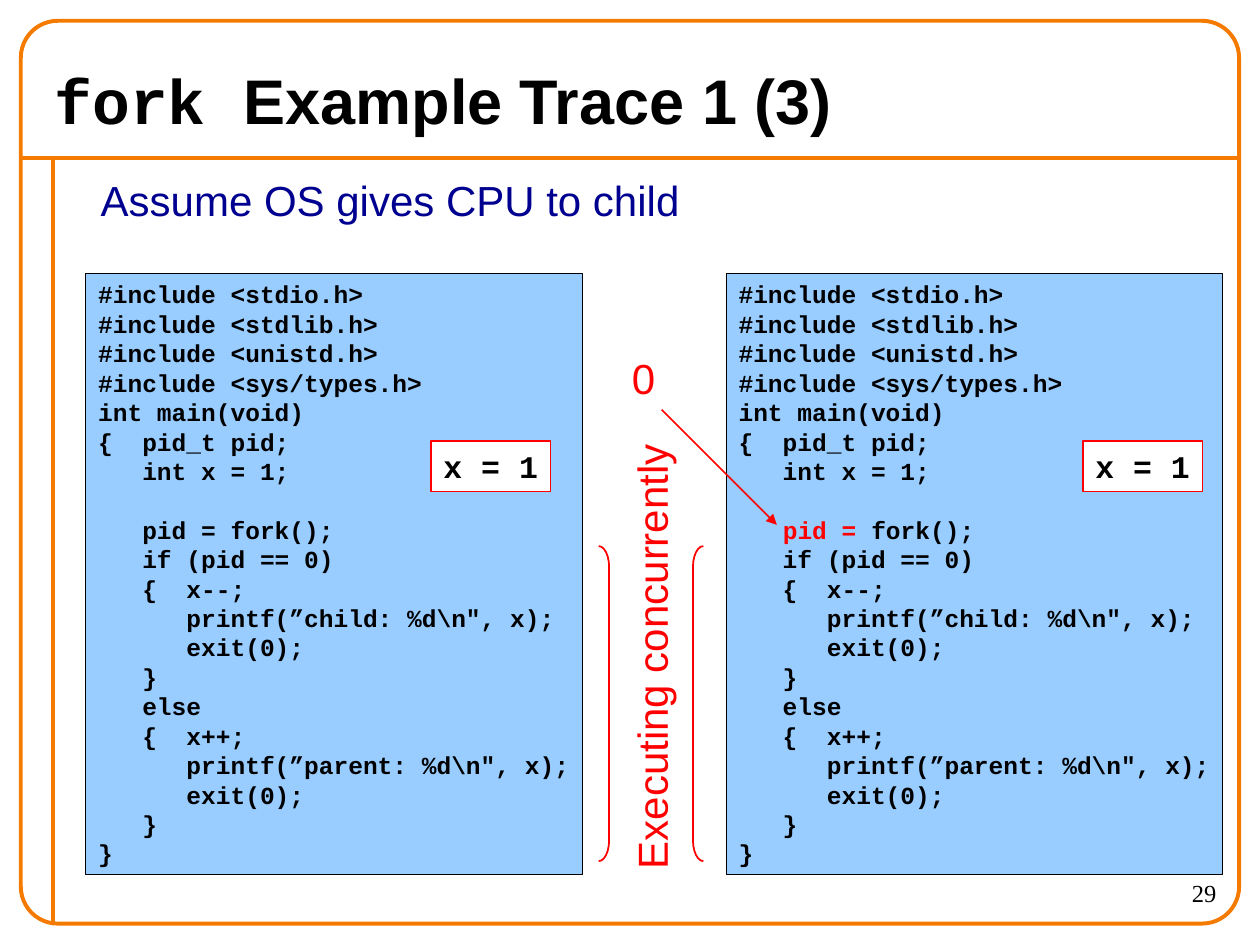
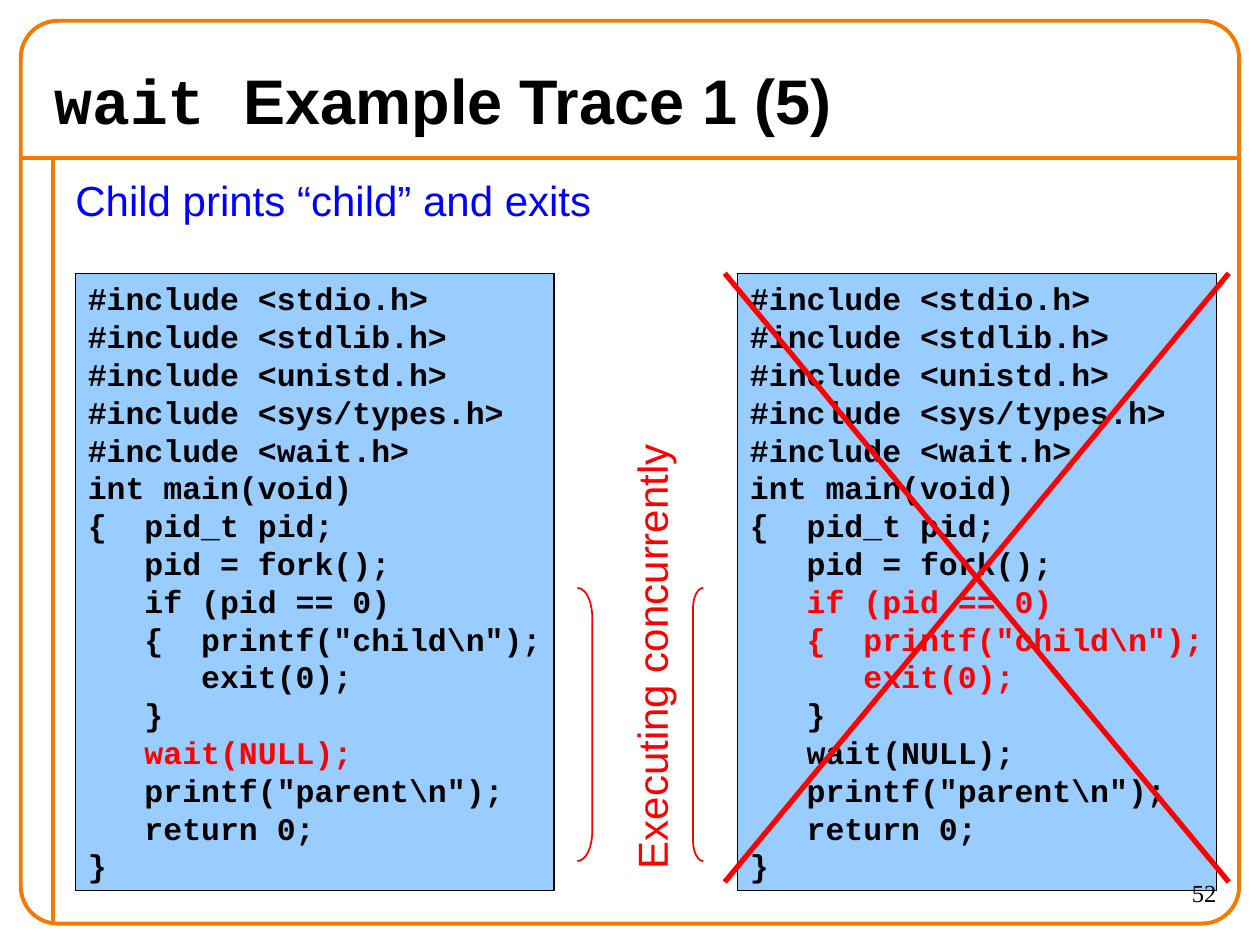
from dataclasses import dataclass

from lxml import etree
from pptx import Presentation
from pptx import util as u
from pptx.dml.color import RGBColor
from pptx.enum import shapes, text
from pptx.oxml.ns import qn

FORK_CODE = r"""#include <stdio.h>
#include <stdlib.h>
#include <unistd.h>
#include <sys/types.h>
int main(void)
{  pid_t pid;
   int x = 1;

   pid = fork();
   if (pid == 0)
   {  x--;
      printf(”child: %d\n", x);
      exit(0);
   }
   else
   {  x++;
      printf(”parent: %d\n", x);
      exit(0);
   }
}"""

WAIT_CODE = r"""#include <stdio.h>
#include <stdlib.h>
#include <unistd.h>
#include <sys/types.h>
#include <wait.h>
int main(void)
{  pid_t pid;
   pid = fork();
   if (pid == 0)
   {  printf("child\n");
      exit(0);
   }
   wait(NULL);
   printf("parent\n");
   return 0;
}"""

CONCURRENCY = "Executing concurrently"

# Lengths are in centimetres; "running" holds the code now executing per process.
FORK = dict(
    call="fork ", title="Example Trace 1 (3)", number="29",
    message="Assume OS gives CPU to child", message_left=1.78, message_color="000090",
    code=FORK_CODE, code_size=14, pane_lefts=(1.73, 14.64), pane_size=(10.01, 12.12),
    running=((), ("pid = ",)),
    bracket_top=11.01, parent_bracket=(12.07, 0.21),
)
WAIT = dict(
    call="wait ", title="Example Trace 1 (5)", number="52",
    message="Child prints “child” and exits", message_left=1.27, message_color="0000FF",
    code=WAIT_CODE, code_size=18, pane_lefts=(1.52, 14.87), pane_size=(9.65, 12.45),
    running=(("wait(NULL);",), ("if (pid == 0)", r'{  printf("child\n");', "exit(0);")),
    bracket_top=11.85, parent_bracket=(11.64, 0.3),
)
VARIABLE = "x = 1"
VARIABLE_LEFTS = (8.69, 21.83)
FORK_RESULT = "0"
PANE_TOP = 5.51
BRACKET_BOTTOM = 17.36
CHILD_BRACKET = (13.97, 0.21)


@dataclass(frozen=True)
class Theme:
    frame: str = "F47A00"
    ink: str = "000000"
    accent: str = "FF0000"
    pane: str = "99CCFF"
    paper: str = "FFFFFF"
    sans: str = "Arial"
    mono: str = "Courier New"
    serif: str = "Times New Roman"
    title_size: int = 36
    body_size: int = 24
    variable_size: int = 18
    number_size: int = 14


THEME = Theme()


def cm(*lengths):
    return [u.Cm(length) for length in lengths]


def style_run(run, size, face, color, bold=False):
    run.font.size = u.Pt(size)
    run.font.name = face
    run.font.bold = bold
    run.font.color.rgb = RGBColor.from_string(color)


def add_line(slide, start, end, color, width, arrow=False):
    line = slide.shapes.add_connector(shapes.MSO_CONNECTOR.STRAIGHT, *cm(*start, *end))
    line.line.color.rgb = RGBColor.from_string(color)
    line.line.width = u.Pt(width)
    properties = line._element.spPr
    if arrow:
        etree.SubElement(properties.find(qn("a:ln")), qn("a:tailEnd"), type="triangle")
    etree.SubElement(properties, qn("a:effectLst"))


def add_outline(slide, kind, place, color, width, fill=None):
    shape = slide.shapes.add_shape(kind, *cm(*place))
    shape.shadow.inherit = False
    shape.line.color.rgb = RGBColor.from_string(color)
    shape.line.width = u.Pt(width)
    if fill:
        shape.fill.solid()
        shape.fill.fore_color.rgb = RGBColor.from_string(fill)
    else:
        shape.fill.background()
    return shape


def add_label(slide, place, wording, size, face, color, align=text.PP_ALIGN.LEFT):
    label = slide.shapes.add_textbox(*cm(*place))
    label.text_frame.word_wrap = True
    label.text_frame.text = wording
    paragraph = label.text_frame.paragraphs[0]
    paragraph.alignment = align
    style_run(paragraph.runs[0], size, face, color)
    return label


def split_running(line, running):
    """Split a code line into (piece, colour) pairs around the running part."""
    for part in running:
        before, found, after = line.partition(part)
        if found:
            pieces = (before, THEME.ink), (found, THEME.accent), (after, THEME.ink)
            return [(piece, color) for piece, color in pieces if piece]
    return [(line, THEME.ink)]


def add_code(slide, place, code, size, border, fill, running=()):
    pane = add_outline(slide, shapes.MSO_SHAPE.RECTANGLE, place, border, 0.75, fill)
    frame = pane.text_frame
    frame.word_wrap = False
    frame.vertical_anchor = text.MSO_ANCHOR.TOP
    frame.text = code
    for paragraph, line in zip(frame.paragraphs, code.split("\n")):
        paragraph.alignment = text.PP_ALIGN.LEFT
        if not line:
            end = etree.SubElement(paragraph._p, qn("a:endParaRPr"), sz=str(size * 100))
            etree.SubElement(end, qn("a:latin"), typeface=THEME.mono)
            continue
        paragraph.clear()
        for piece, color in split_running(line, running):
            run = paragraph.add_run()
            run.text = piece
            style_run(run, size, THEME.mono, color, bold=True)


def add_bracket(slide, kind, left, width, top):
    bracket = add_outline(slide, kind, (left, top, width, BRACKET_BOTTOM - top),
                          THEME.accent, 1)
    bracket.adjustments[0] = 2


def add_frame(slide):
    add_line(slide, (0.42, 3.18), (24.98, 3.18), THEME.frame, 2.25)
    add_line(slide, (1.06, 3.18), (1.06, 18.62), THEME.frame, 2.25)
    frame = add_outline(slide, shapes.MSO_SHAPE.ROUNDED_RECTANGLE,
                        (0.42, 0.42, 24.56, 18.2), THEME.frame, 2.25)
    frame.adjustments[0] = 0.041


def add_title(slide, call, title):
    box = add_label(slide, (0.85, 1.06, 23.7, 1.9), call,
                    THEME.title_size, THEME.mono, THEME.ink)
    box.text_frame.vertical_anchor = text.MSO_ANCHOR.MIDDLE
    paragraph = box.text_frame.paragraphs[0]
    paragraph.add_run().text = title
    for run, face in zip(paragraph.runs, (THEME.mono, THEME.sans)):
        style_run(run, THEME.title_size, face, THEME.ink, bold=True)


def add_trace(deck, trace):
    """Build what every trace slide shows: frame, title, two panes, brackets."""
    slide = deck.slides.add_slide(deck.slide_layouts[6])
    add_frame(slide)
    add_title(slide, trace["call"], trace["title"])
    add_label(slide, (trace["message_left"], 3.39, 20, 1.27), trace["message"],
              THEME.body_size, THEME.sans, trace["message_color"])
    for left, running in zip(trace["pane_lefts"], trace["running"]):
        add_code(slide, (left, PANE_TOP, *trace["pane_size"]), trace["code"],
                 trace["code_size"], THEME.ink, THEME.pane, running)
    top = trace["bracket_top"]
    add_bracket(slide, shapes.MSO_SHAPE.RIGHT_BRACKET, *trace["parent_bracket"], top)
    add_bracket(slide, shapes.MSO_SHAPE.LEFT_BRACKET, *CHILD_BRACKET, top)
    concurrency = add_label(slide, (8.36, 12.37, 9.53, 1.27), CONCURRENCY,
                            THEME.body_size, THEME.sans, THEME.accent)
    concurrency.rotation = 270
    add_label(slide, (22.23, 17.57, 2.54, 1.06), trace["number"], THEME.number_size,
              THEME.serif, THEME.ink, text.PP_ALIGN.RIGHT)
    return slide


def add_fork_result(slide):
    for left in VARIABLE_LEFTS:
        add_code(slide, (left, 8.89, 2.41, 1.02), VARIABLE, THEME.variable_size,
                 THEME.accent, THEME.paper)
    add_label(slide, (12.49, 6.99, 1.06, 1.27), FORK_RESULT,
              THEME.body_size, THEME.sans, THEME.accent)
    add_line(slide, (13.34, 8.26), (15.66, 10.58), THEME.accent, 1, arrow=True)


def cross_out_child(slide):
    left, right, bottom = 14.61, 24.77, 17.78
    for start, end in ((left, right), (right, left)):
        add_line(slide, (start, PANE_TOP), (end, bottom), THEME.accent, 3)


def main():
    deck = Presentation()
    deck.slide_width, deck.slide_height = cm(25.4, 19.05)
    add_fork_result(add_trace(deck, FORK))
    cross_out_child(add_trace(deck, WAIT))
    deck.save("out.pptx")


if __name__ == "__main__":
    main()
